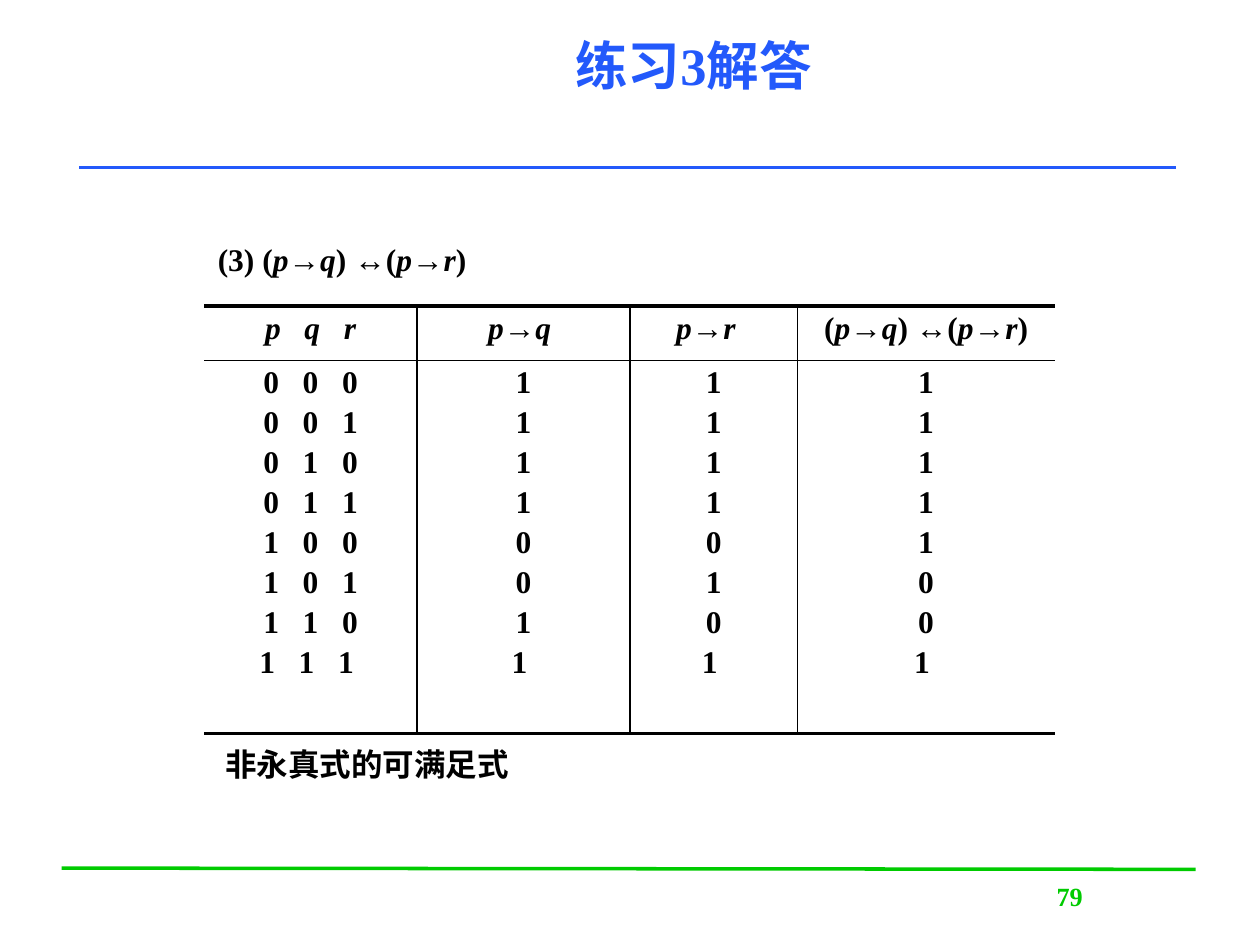
from itertools import product

from lxml.etree import SubElement
from pptx import Presentation
from pptx.dml.color import RGBColor
from pptx.enum.shapes import MSO_CONNECTOR as CONN
from pptx.enum.text import MSO_ANCHOR as ANCHOR, MSO_AUTO_SIZE as AUTO, PP_ALIGN as ALIGN
from pptx.oxml import parse_xml
from pptx.oxml.ns import nsdecls, qn
from pptx.util import Inches, Pt

COLORS = {"title": "2359FB", "footer": "00CB00", "text": "000000"}
SERIF = "Times New Roman"
VARIABLES = set("pqr")
IMPLIES_Q = ["p", "→", "q"]
IMPLIES_R = ["p", "→", "r"]
FORMULA = ["(", *IMPLIES_Q, ") ↔(", *IMPLIES_R, ")"]


def add_run(paragraph, text, size=18, color="text", font=SERIF, italic=False):
    run = paragraph.add_run()
    run.text = text
    run.font.name = font
    run.font.size = Pt(size)
    run.font.bold = True
    run.font.italic = italic
    run.font.color.rgb = RGBColor.from_string(COLORS[color])


def add_formula(paragraph, parts):
    for part in parts:
        add_run(paragraph, part, italic=part.strip()[0] in VARIABLES)


def add_text_box(slide, box, wrap=True):
    frame = slide.shapes.add_textbox(*map(Inches, box)).text_frame
    frame.word_wrap = wrap
    return frame


def add_rule(slide, start, end, color):
    rule = slide.shapes.add_connector(CONN.STRAIGHT, *map(Inches, start + end))
    rule.line.color.rgb = RGBColor.from_string(COLORS[color])
    rule.line.width = Pt(2)
    SubElement(rule._element.spPr, qn("a:effectLst"))


def add_title(slide, box):
    title = slide.shapes.title
    title.left, title.top, title.width, title.height = map(Inches, box)
    frame = title.text_frame
    frame.auto_size = AUTO.NONE
    frame.vertical_anchor = ANCHOR.MIDDLE
    heading = frame.paragraphs[0]
    heading.alignment = ALIGN.CENTER
    add_run(heading, "练习", 30, "title", "DejaVu Sans")
    add_run(heading, "3解答", 30, "title")


def add_footer(slide, box):
    left, top, width, height = box
    add_rule(slide, (left, top), (left + width, top + 0.01), "footer")
    frame = add_text_box(slide, (left + 7.21, top + 0.06, 1.58, height))
    frame.margin_left = frame.margin_right = Inches(0.07)
    frame.margin_top = frame.margin_bottom = Inches(0.04)
    number = frame.paragraphs[0]
    number.alignment = ALIGN.CENTER
    number.space_before = Pt(7.5)
    add_run(number, "79", 15, "footer")


def set_borders(cell, widths):
    properties = cell._tc.get_or_add_tcPr()
    for index, (side, width) in enumerate(zip("LRTB", widths)):
        fill = (f'<a:solidFill><a:srgbClr val="{COLORS["text"]}"/></a:solidFill>'
                if width else "<a:noFill/>")
        border = f'<a:ln{side} {nsdecls("a")} w="{Pt(width)}">{fill}</a:ln{side}>'
        properties.insert(index, parse_xml(border))


def truth_columns():
    columns = [[], [], [], []]
    for p, q, r in product((0, 1), repeat=3):
        p_q, p_r = int(not p or q), int(not p or r)
        values = (f"{p}   {q}   {r}", p_q, p_r, int(p_q == p_r))
        ending = " " if p and q and r else ""
        for column, value in zip(columns, values):
            column.append([f"{value}{ending}"])
    return columns


def fill_cell(cell, lines, borders):
    cell.margin_left = cell.margin_right = Inches(0.07)
    cell.margin_top = cell.margin_bottom = Inches(0.04)
    cell.fill.background()
    set_borders(cell, borders)
    for index, parts in enumerate(lines):
        frame = cell.text_frame
        paragraph = frame.add_paragraph() if index else frame.paragraphs[0]
        paragraph.alignment = ALIGN.CENTER
        paragraph.space_before = Pt(2.9)
        add_formula(paragraph, parts)


def add_truth_table(slide, box):
    table = slide.shapes.add_table(2, 4, *map(Inches, box)).table
    table.first_row = table.horz_banding = False
    for column, width in zip(table.columns, (1.69, 1.69, 1.33, 2.04)):
        column.width = Inches(width)
    for row, height in zip(table.rows, (0.43, 2.96)):
        row.height = Inches(height)
    headings = (["p   q   r"], ["p", "→", "q "], ["p", "→", "r  "], FORMULA)
    for index, (heading, values) in enumerate(zip(headings, truth_columns())):
        sides = (int(index > 0), int(index < 3))
        fill_cell(table.cell(0, index), [heading], (*sides, 2.25, 1))
        fill_cell(table.cell(1, index), values, (*sides, 1, 2.25))


def add_answer(slide, box):
    left, top, width, height = box
    question = add_text_box(slide, (left + 0.01, top, 3.78, 0.4))
    add_formula(question.paragraphs[0], ["(3) (", *FORMULA[1:]])
    add_truth_table(slide, (left, top + 0.57, width, 3.39))
    conclusion = add_text_box(slide, (left + 0.07, top + height - 0.4, 2.49, 0.4), False)
    conclusion.vertical_anchor = ANCHOR.MIDDLE
    conclusion.auto_size = AUTO.SHAPE_TO_FIT_TEXT
    add_run(conclusion.paragraphs[0], "非永真式的可满足式")


def main():
    deck = Presentation()
    deck.slide_width, deck.slide_height = Inches(10), Inches(7.5)
    slide = deck.slides.add_slide(deck.slide_layouts[5])
    add_footer(slide, (0.49, 6.89, 9, 0.5))
    add_rule(slide, (0.63, 1.33), (9.33, 1.33), "title")
    add_title(slide, (2.16, 0.28, 6.69, 0.46))
    add_answer(slide, (1.62, 1.86, 6.75, 4.4))
    deck.save("out.pptx")


if __name__ == "__main__":
    main()
